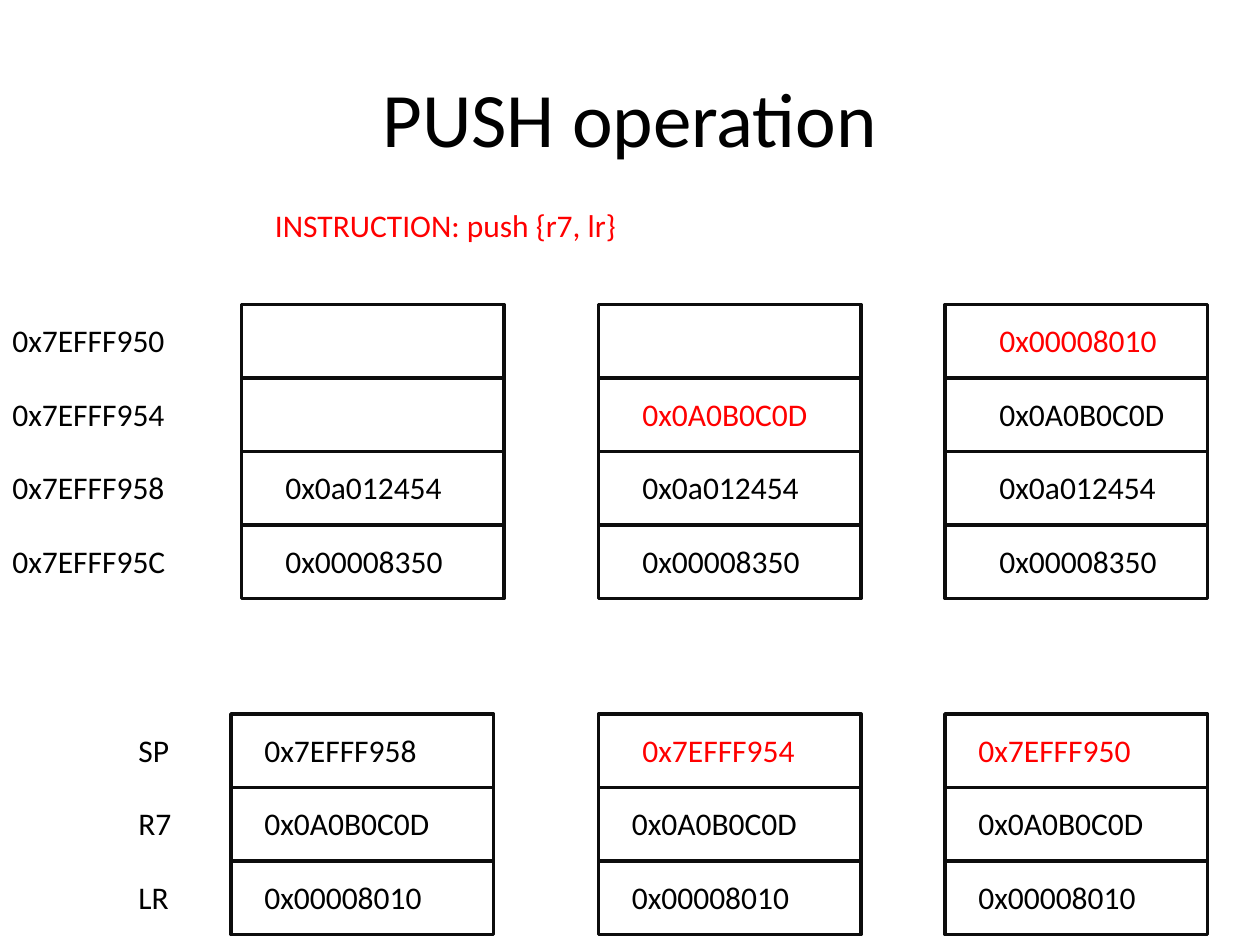
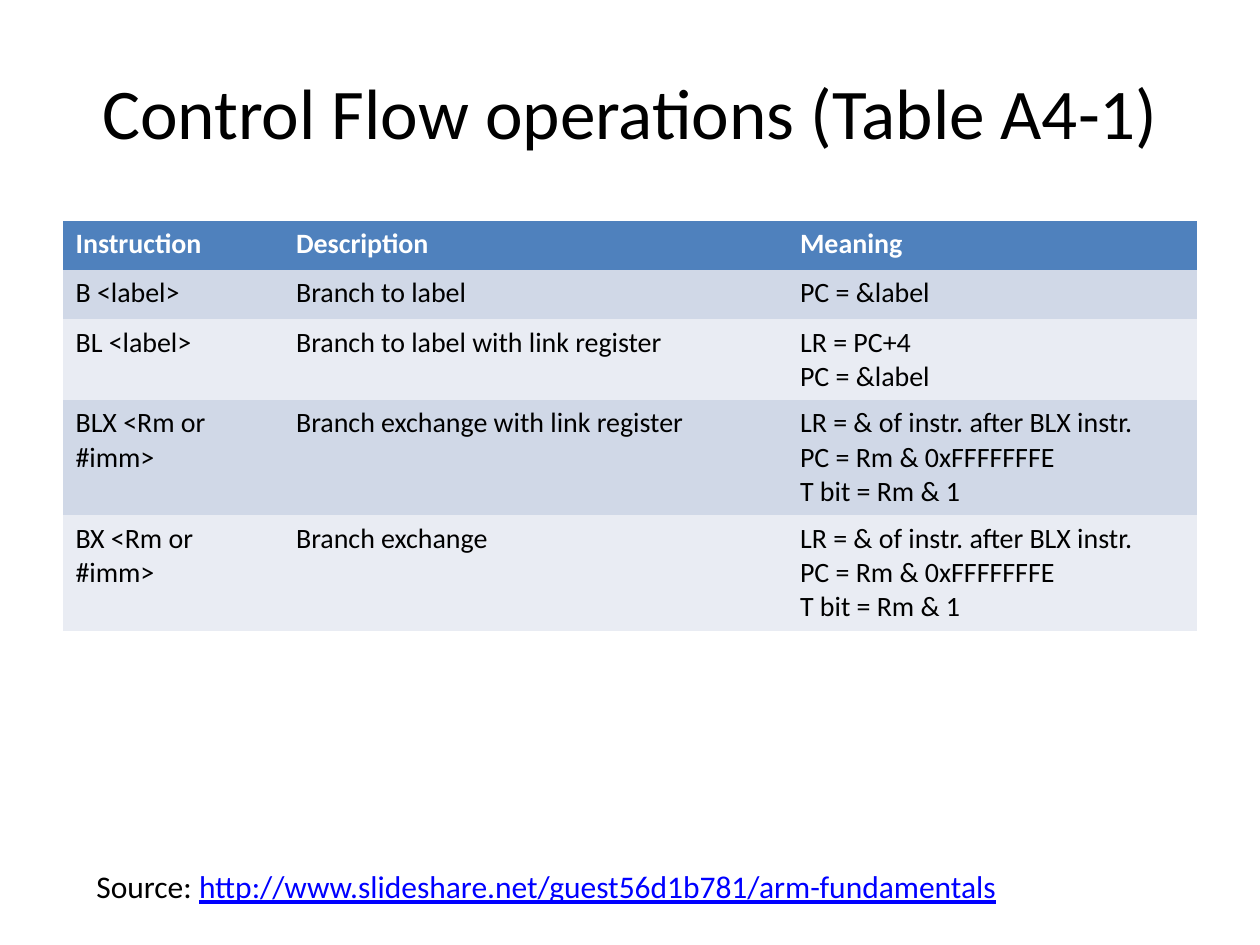
import pptx
import pptx.dml.color
import pptx.enum.shapes
import pptx.enum.text
import pptx.oxml.ns
import pptx.util

RGBColor = pptx.dml.color.RGBColor
BLACK = RGBColor(0x00, 0x00, 0x00)
WHITE = RGBColor(0xFF, 0xFF, 0xFF)
RED = RGBColor(0xFF, 0x00, 0x00)
LINK_BLUE = RGBColor(0x00, 0x00, 0xFF)
CELL_EDGE = RGBColor(0x0D, 0x0D, 0x0D)
HEADER_BLUE = RGBColor(0x4F, 0x81, 0xBD)
BANDS = (RGBColor(0xD0, 0xD8, 0xE7), RGBColor(0xE9, 0xEC, 0xF3))

FONT = "Calibri"
PX_PER_INCH = 120
CELL_WIDTH, CELL_HEIGHT = 250, 70
TEXT_DROP, TEXT_HEIGHT = 10, 48
PLAIN_TABLE = "{2D5ABB26-0587-4C30-8999-92F81FD0307C}"

MEMORY_TOP = 290
ADDRESSES = ("0x7EFFF950", "0x7EFFF954", "0x7EFFF958", "0x7EFFF95C")
MEMORY_STATES = (
    (230, 260, ("", "", "0x0a012454", "0x00008350"), None),
    (570, 600, ("", "0x0A0B0C0D", "0x0a012454", "0x00008350"), 1),
    (900, 940, ("0x00008010", "0x0A0B0C0D", "0x0a012454", "0x00008350"), 0),
)

REGISTER_TOP = 680
REGISTERS = ("SP", "R7", "LR")
REGISTER_STATES = (
    (220, (240, 240, 240), "0x7EFFF958", BLACK),
    (570, (600, 590, 590), "0x7EFFF954", RED),
    (900, (920, 920, 920), "0x7EFFF950", RED),
)

COLUMN_WIDTHS = (210, 480, 390)
ROW_HEIGHTS = (47, 47, 77, 110, 110)
EXCHANGE_MEANING = ("LR = & of instr. after BLX instr.\n"
                    "PC = Rm & 0xFFFFFFFE\nT bit = Rm & 1")
BRANCHES = (
    ("Instruction", "Description", "Meaning"),
    ("B <label>", "Branch to label", "PC = &label"),
    ("BL <label>", "Branch to label with link register",
     "LR = PC+4\nPC = &label"),
    ("BLX <Rm or #imm>", "Branch exchange with link register",
     EXCHANGE_MEANING),
    ("BX <Rm or #imm>", "Branch exchange", EXCHANGE_MEANING),
)


def px(length):
    return pptx.util.Inches(length / PX_PER_INCH)


def style_runs(text_frame, size, color, bold=False):
    for paragraph in text_frame.paragraphs:
        for run in paragraph.runs:
            run.font.name = FONT
            run.font.size = pptx.util.Pt(size)
            run.font.bold = bold
            run.font.color.rgb = color


def add_text(slide, text, left, top, width, height=TEXT_HEIGHT,
             size=18, color=BLACK):
    label = slide.shapes.add_textbox(px(left), px(top), px(width), px(height))
    label.text_frame.word_wrap = True
    label.text_frame.text = text
    style_runs(label.text_frame, size, color)
    return label.text_frame


def add_title(slide, text, size=44, line_spacing=1.0):
    title = add_text(slide, text, 60, 36, 1080, 150, size)
    title.vertical_anchor = pptx.enum.text.MSO_ANCHOR.MIDDLE
    title.paragraphs[0].alignment = pptx.enum.text.PP_ALIGN.CENTER
    title.paragraphs[0].line_spacing = line_spacing


def row_top(top, row):
    return top + row * CELL_HEIGHT


def add_row_labels(slide, names, left, top, width):
    for row, name in enumerate(names):
        add_text(slide, name, left, row_top(top, row) + TEXT_DROP, width)


def add_storage_cell(slide, left, top, value, text_left, color):
    cell = slide.shapes.add_shape(
        pptx.enum.shapes.MSO_SHAPE.RECTANGLE,
        px(left), px(top), px(CELL_WIDTH), px(CELL_HEIGHT))
    cell.shadow.inherit = False
    cell.fill.background()
    cell.line.color.rgb = CELL_EDGE
    cell.line.width = pptx.util.Pt(2)
    if value:
        add_text(slide, value, text_left, top + TEXT_DROP, 200, color=color)


def add_memory(slide):
    add_row_labels(slide, ADDRESSES, 0, MEMORY_TOP, 180)
    for left, text_left, values, pushed_row in MEMORY_STATES:
        for row, value in enumerate(values):
            color = RED if row == pushed_row else BLACK
            add_storage_cell(slide, left, row_top(MEMORY_TOP, row),
                             value, text_left, color)


def add_registers(slide):
    add_row_labels(slide, REGISTERS, 120, REGISTER_TOP, 60)
    for left, text_lefts, stack_pointer, pointer_color in REGISTER_STATES:
        values = (stack_pointer, "0x0A0B0C0D", "0x00008010")
        colors = (pointer_color, BLACK, BLACK)
        for row, (value, text_left, color) in enumerate(
                zip(values, text_lefts, colors)):
            add_storage_cell(slide, left, row_top(REGISTER_TOP, row),
                             value, text_left, color)


def add_branch_table(slide):
    table = slide.shapes.add_table(
        len(BRANCHES), len(COLUMN_WIDTHS), px(60), px(210),
        px(sum(COLUMN_WIDTHS)), px(sum(ROW_HEIGHTS))).table
    style_id = table._tbl.tblPr.find(pptx.oxml.ns.qn("a:tableStyleId"))
    style_id.text = PLAIN_TABLE
    for column, width in zip(table.columns, COLUMN_WIDTHS):
        column.width = px(width)
    for row, (height, entries) in enumerate(zip(ROW_HEIGHTS, BRANCHES)):
        table.rows[row].height = px(height)
        is_header = row == 0
        for column, entry in enumerate(entries):
            cell = table.cell(row, column)
            cell.fill.solid()
            cell.fill.fore_color.rgb = (
                HEADER_BLUE if is_header else BANDS[(row - 1) % 2])
            cell.text_frame.text = entry
            style_runs(cell.text_frame, 16,
                       WHITE if is_header else BLACK, is_header)


def add_source(slide, address):
    source = add_text(slide, "Source: ", 80, 820, 970)
    address_run = source.paragraphs[0].add_run()
    address_run.text = address
    style_runs(source, 18, BLACK)
    address_run.font.color.rgb = LINK_BLUE
    address_run.font.underline = True


def main():
    deck = pptx.Presentation()
    deck.slide_width = px(1200)
    deck.slide_height = px(900)
    blank = deck.slide_layouts[6]

    push = deck.slides.add_slide(blank)
    add_title(push, "PUSH operation")
    add_text(push, "INSTRUCTION: push {r7, lr}", 250, 190, 510, color=RED)
    add_memory(push)
    add_registers(push)

    control_flow = deck.slides.add_slide(blank)
    add_title(control_flow, "Control Flow operations (Table A4-1)", 40.7, 0.9)
    add_branch_table(control_flow)
    add_source(control_flow,
               "http://www.slideshare.net/guest56d1b781/arm-fundamentals")

    deck.save("out.pptx")


if __name__ == "__main__":
    main()
